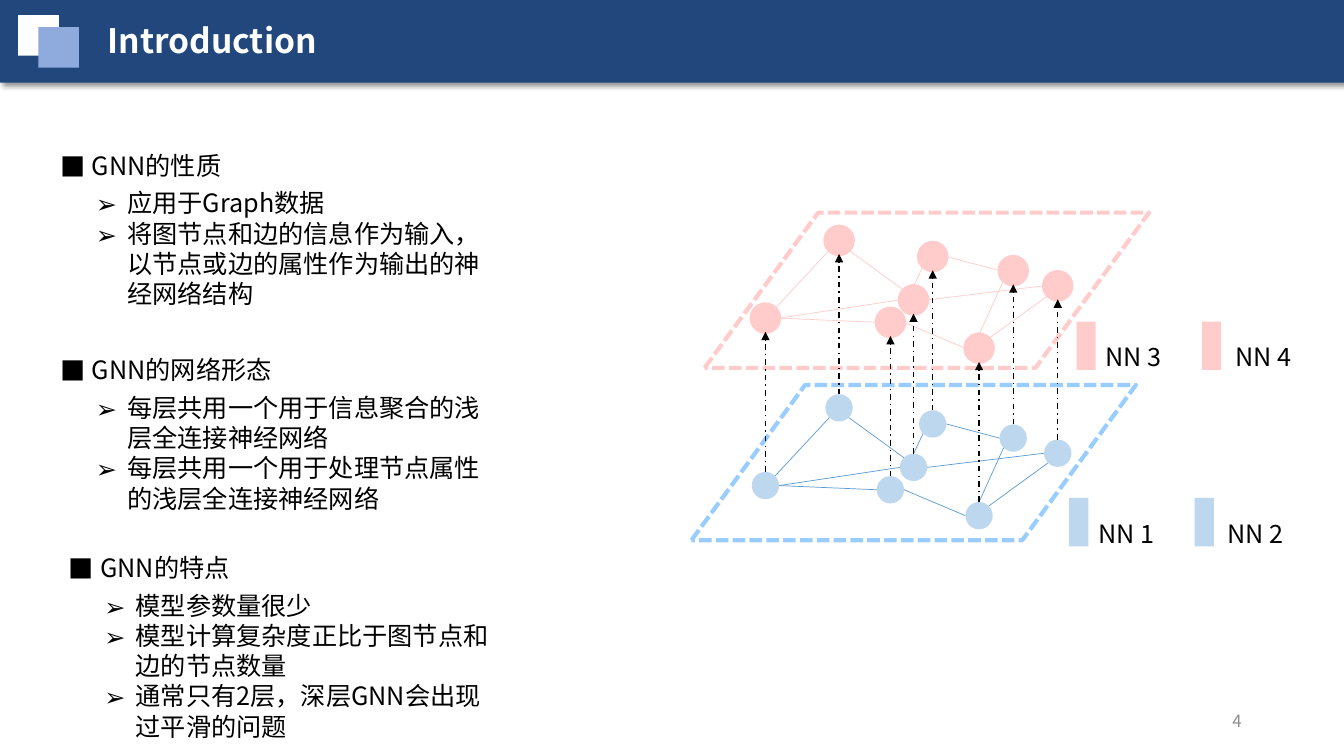
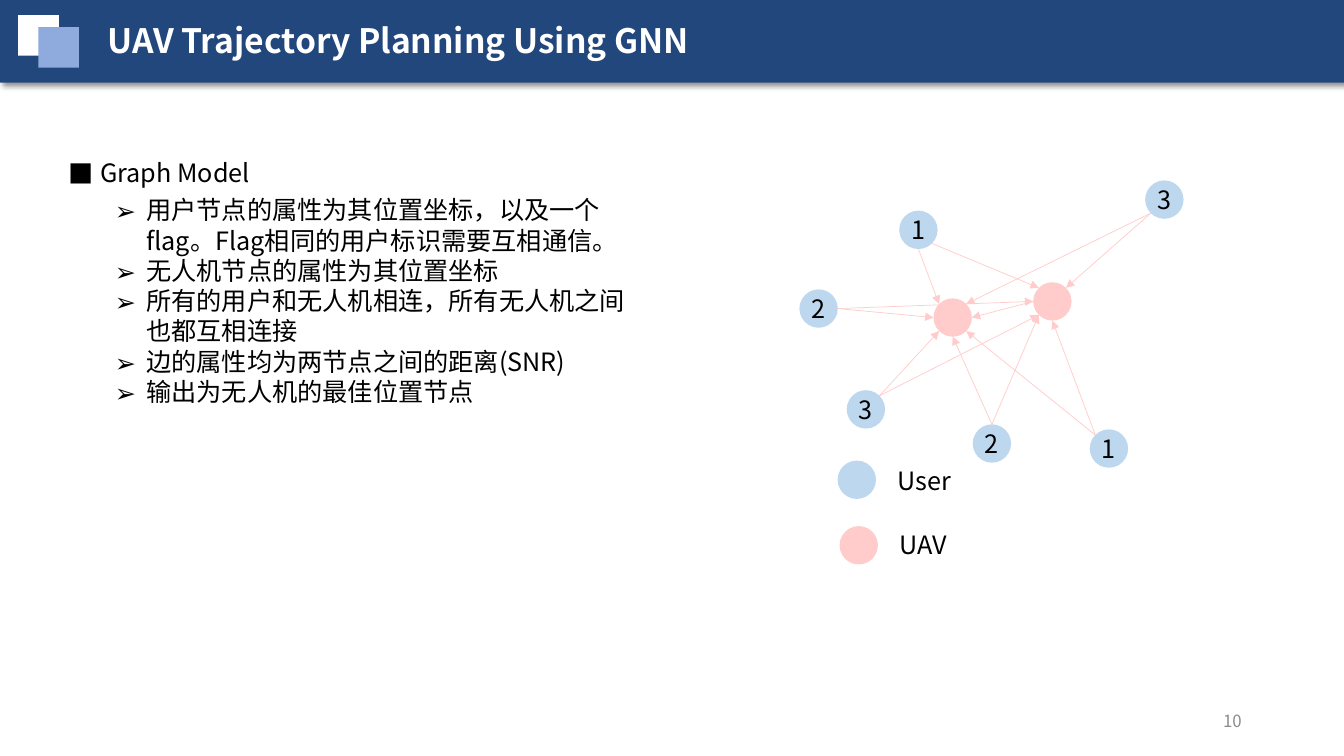
from math import cos, radians, sin

from lxml.etree import SubElement
from pptx import Presentation
from pptx.dml.color import RGBColor
from pptx.enum.dml import MSO_LINE as Dash
from pptx.enum.shapes import MSO_CONNECTOR as Link, MSO_SHAPE as Kind
from pptx.enum.text import MSO_ANCHOR as Anchor, PP_ALIGN as Align
from pptx.oxml.ns import qn
from pptx.util import Pt

FONT = "Noto Sans CJK SC"
HUE = {"band": "22477D", "white": "FFFFFF", "badge": "8FAADC", "ink": "000000",
       "page": "8C8C8C", "pink": "FFCCCB", "pale": "BDD7EE", "edge": "5B9BD5",
       "frame": "99CDFF"}
NODES = [(52.6, 0), (105.8, 42.5), (89.3, 58.5), (177, 21.6),
         (0, 55.5), (119.5, 11.5), (152.6, 77), (208.8, 32.4)]
EDGES = [(0, 5, 1, 1), (4, 6, 1, 2), (3, 3, 6, 0), (5, 6, 3, 2), (0, 3, 4, 7),
         (2, 6, 6, 2), (7, 2, 1, 6), (7, 3, 6, 7), (5, 3, 1, 0), (4, 6, 2, 2)]
USERS = [("2", 0, 77.8), ("1", 71.3, 21.6), ("3", 33.8, 149.8),
         ("2", 123.8, 174.2), ("1", 207.4, 177.8), ("3", 247, 0)]
UAVS = [(95.8, 84.2), (167, 72.7)]
RADIO = [(1, 4, 6, 1), (1, 5, 7, 1), (0, 6, 6, 2), (0, 6, 7, 2), (2, 7, 6, 3),
         (2, 7, 7, 3), (3, 0, 7, 3), (3, 0, 6, 4), (4, 1, 7, 4), (4, 1, 6, 5),
         (5, 3, 7, 7), (5, 3, 6, 7), (7, 2, 6, 6)]
NODE, DISC = 19.5, 27.4


def rgb(name):
    """Return the named colour."""
    return RGBColor.from_string(HUE[name])


def write(frame, lines, size=18, hue="ink", bold=False, align=None, mark=None):
    """Fill a text frame with styled paragraphs, bulleted if a mark is given."""
    frame.text = "\n".join(lines)
    for para in frame.paragraphs:
        para.line_spacing = Pt(size * 1.2)
        para.alignment = align
        if mark:
            props = para._p.get_or_add_pPr()
            props.set("marL", str(Pt(22.5)))
            props.set("indent", str(-Pt(22.5)))
            SubElement(props, qn("a:buFont")).set("typeface", FONT)
            SubElement(props, qn("a:buChar")).set("char", mark)
        for run in para.runs:
            font = run.font
            font.name, font.size, font.bold = FONT, Pt(size), bold
            font.color.rgb = rgb(hue)
            SubElement(run._r.get_or_add_rPr(), qn("a:ea")).set("typeface", FONT)


def label(slide, box, lines, **style):
    """Add a wrapping text box and return its frame."""
    frame = slide.shapes.add_textbox(*map(Pt, box)).text_frame
    frame.word_wrap = True
    write(frame, lines, **style)
    return frame


def block(slide, kind, box, fill=None, line=None, width=3):
    """Add a flat preset shape."""
    shape = slide.shapes.add_shape(kind, *map(Pt, box))
    shape.shadow.inherit = False
    if fill:
        shape.fill.solid()
        shape.fill.fore_color.rgb = rgb(fill)
    else:
        shape.fill.background()
    if line:
        shape.line.color.rgb = rgb(line)
        shape.line.width = Pt(width)
    else:
        shape.line.fill.background()
    return shape


def wire(slide, start, end, hue, width=0.5, dash=None, head=False):
    """Add a straight line, with an arrowhead if asked."""
    link = slide.shapes.add_connector(Link.STRAIGHT, *map(Pt, start + end))
    link.line.color.rgb = rgb(hue)
    link.line.width = Pt(width)
    if dash:
        link.line.dash_style = dash
    if head:
        SubElement(link.line._get_or_add_ln(), qn("a:tailEnd")).set("type", "triangle")
    SubElement(link._element.spPr, qn("a:effectLst"))


def port(spot, size, site):
    """Return a circle's site, counted in eighths from the top, leftwards."""
    turn, half = radians(90 + 45 * site), size / 2
    return spot[0] + half * (1 + cos(turn)), spot[1] + half * (1 - sin(turn))


def shift(spots, x, y):
    """Move spots to the given origin."""
    return [(x + dx, y + dy) for dx, dy in spots]


def mesh(slide, spots, size, edges, hue, head=False):
    """Join circles through their sites."""
    for a, out, b, into in edges:
        wire(slide, port(spots[a], size, out), port(spots[b], size, into), hue, head=head)


def cast(shape):
    """Give a shape a soft drop shadow."""
    effects = shape._element.spPr.find(qn("a:effectLst"))
    drop = SubElement(effects, qn("a:outerShdw"), blurRad=str(Pt(4)),
                      dist=str(Pt(3)), dir="2700000", algn="tl", rotWithShape="0")
    tone = SubElement(drop, qn("a:srgbClr"), val=HUE["ink"])
    SubElement(tone, qn("a:alpha"), val="40000")


def base(deck, title, page):
    """Add a slide with band, badge, title and page number."""
    slide = deck.slides.add_slide(deck.slide_layouts[6])
    cast(block(slide, Kind.RECTANGLE, (0, 0, 960, 59), "band"))
    block(slide, Kind.RECTANGLE, (13, 10.8, 29, 29), "white")
    block(slide, Kind.RECTANGLE, (27.4, 19.4, 29, 29), "badge")
    label(slide, (69.8, 10.8, 457, 36), [title], size=24, hue="white", bold=True)
    frame = label(slide, (678, 500.4, 216, 28.8), [page], size=12, hue="page",
                  align=Align.RIGHT)
    frame.vertical_anchor = Anchor.MIDDLE
    return slide


def topic(slide, x, y, head, items, width=292.3, inset=25.4):
    """Add a heading with its list below."""
    label(slide, (x, y, 314, 28.8), [head], mark="■")
    label(slide, (x + inset, y + 26.9, width, 7.2 + 21.6 * len(items)), items, mark="➢")


def layer(slide, x, y, frame, fill, edge, rim, line=None):
    """Add one graph layer in its dashed frame and return its node spots."""
    spots = shift(NODES, x, y)
    for spot in spots:
        block(slide, Kind.OVAL, spot + (NODE, NODE), fill, line)
    mesh(slide, spots, NODE, EDGES, edge)
    plane = block(slide, Kind.PARALLELOGRAM, frame + (317.5, 110.9), line=rim)
    plane.adjustments[0] = 0.732
    plane.line.dash_style = Dash.SQUARE_DOT
    return spots


def bars(slide, x, y, names, fill):
    """Add a row of named network bars."""
    for i, name in enumerate(names):
        block(slide, Kind.RECTANGLE, (x + 89.6 * i, y, 13.7, 34.6), fill)
        label(slide, (x + 13.7 + 92.5 * i, y + 10.8, 65.5, 28.8), [name])


def intro(deck):
    """Build the introduction slide."""
    slide = base(deck, "Introduction", "4")
    topic(slide, 36, 103.7, "GNN的性质",
          ["应用于Graph数据", "将图节点和边的信息作为输入，以节点或边的属性作为输出的神经网络结构"])
    topic(slide, 36, 249.8, "GNN的网络形态",
          ["每层共用一个用于信息聚合的浅层全连接神经网络",
           "每层共用一个用于处理节点属性的浅层全连接神经网络"])
    topic(slide, 42, 391, "GNN的特点",
          ["模型参数量很少", "模型计算复杂度正比于图节点和边的节点数量",
           "通常只有2层，深层GNN会出现过平滑的问题"])
    bars(slide, 769, 229.7, ["NN 3", "NN 4"], "pink")
    bars(slide, 763.7, 355.7, ["NN 1", "NN 2"], "pale")
    upper = layer(slide, 537, 162, (503.3, 151.9), "pink", "pink", "pink", "pink")
    lower = layer(slide, 537, 281.6, (493.9, 275), "pale", "edge", "frame")
    for low, high in zip(lower, upper):
        wire(slide, port(low, NODE, 0), port(high, NODE, 4), "ink", 1,
             Dash.DASH_DOT, True)


def graph(slide, x, y):
    """Add the user and UAV graph."""
    users = shift([spot for _, *spot in USERS], x, y)
    for (name, *_), spot in zip(USERS, users):
        disc = block(slide, Kind.OVAL, spot + (DISC, DISC), "pale")
        frame = disc.text_frame
        frame.margin_left = frame.margin_right = 0
        frame.margin_top = frame.margin_bottom = 0
        frame.vertical_anchor = Anchor.MIDDLE
        write(frame, [name], align=Align.CENTER)
    uavs = shift(UAVS, x, y)
    for spot in uavs:
        block(slide, Kind.OVAL, spot + (DISC, DISC), "pink")
    mesh(slide, users + uavs, DISC, RADIO, "pink", True)


def legend(slide, x, y):
    """Add the key of node colours."""
    for i, (name, fill) in enumerate([("User", "pale"), ("UAV", "pink")]):
        left = x + 1.4 * i
        block(slide, Kind.OVAL, (left, y + 46.8 * i, DISC, DISC), fill)
        label(slide, (left + 36, y + 45.4 * i, 108, 28.8), [name])


def model(deck):
    """Build the graph model slide."""
    slide = base(deck, "UAV Trajectory Planning Using GNN", "10")
    topic(slide, 42, 108.7, "Graph Model",
          ["用户节点的属性为其位置坐标，以及一个flag。Flag相同的用户标识需要互相通信。",
           "无人机节点的属性为其位置坐标",
           "所有的用户和无人机相连，所有无人机之间也都互相连接",
           "边的属性均为两节点之间的距离(SNR)", "输出为无人机的最佳位置节点"],
          379.4, 33)
    graph(slide, 571, 128.9)
    legend(slide, 598.3, 329)


def main():
    """Build and save the deck."""
    deck = Presentation()
    deck.slide_width, deck.slide_height = Pt(960), Pt(540)
    intro(deck)
    model(deck)
    deck.save("out.pptx")


if __name__ == "__main__":
    main()
